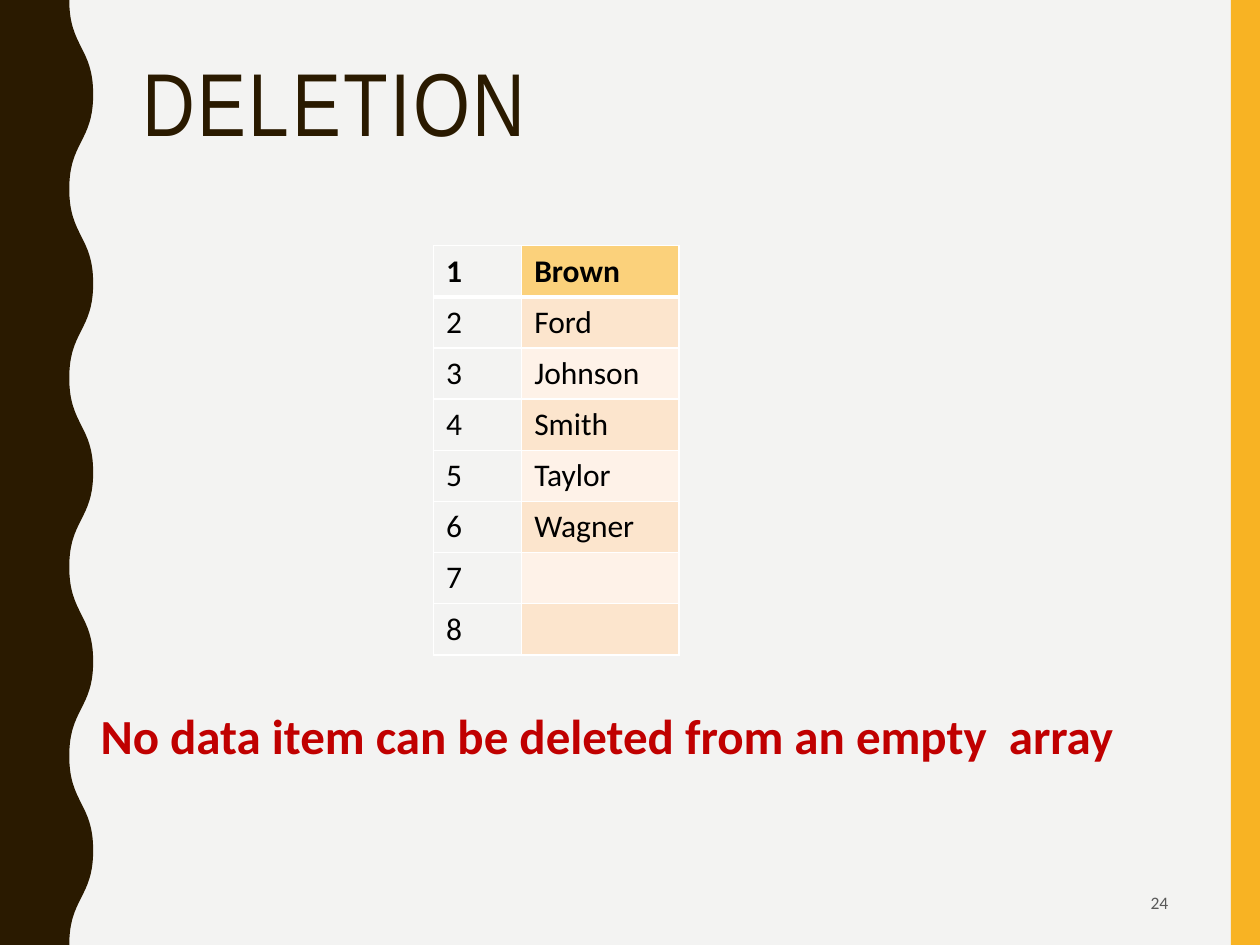
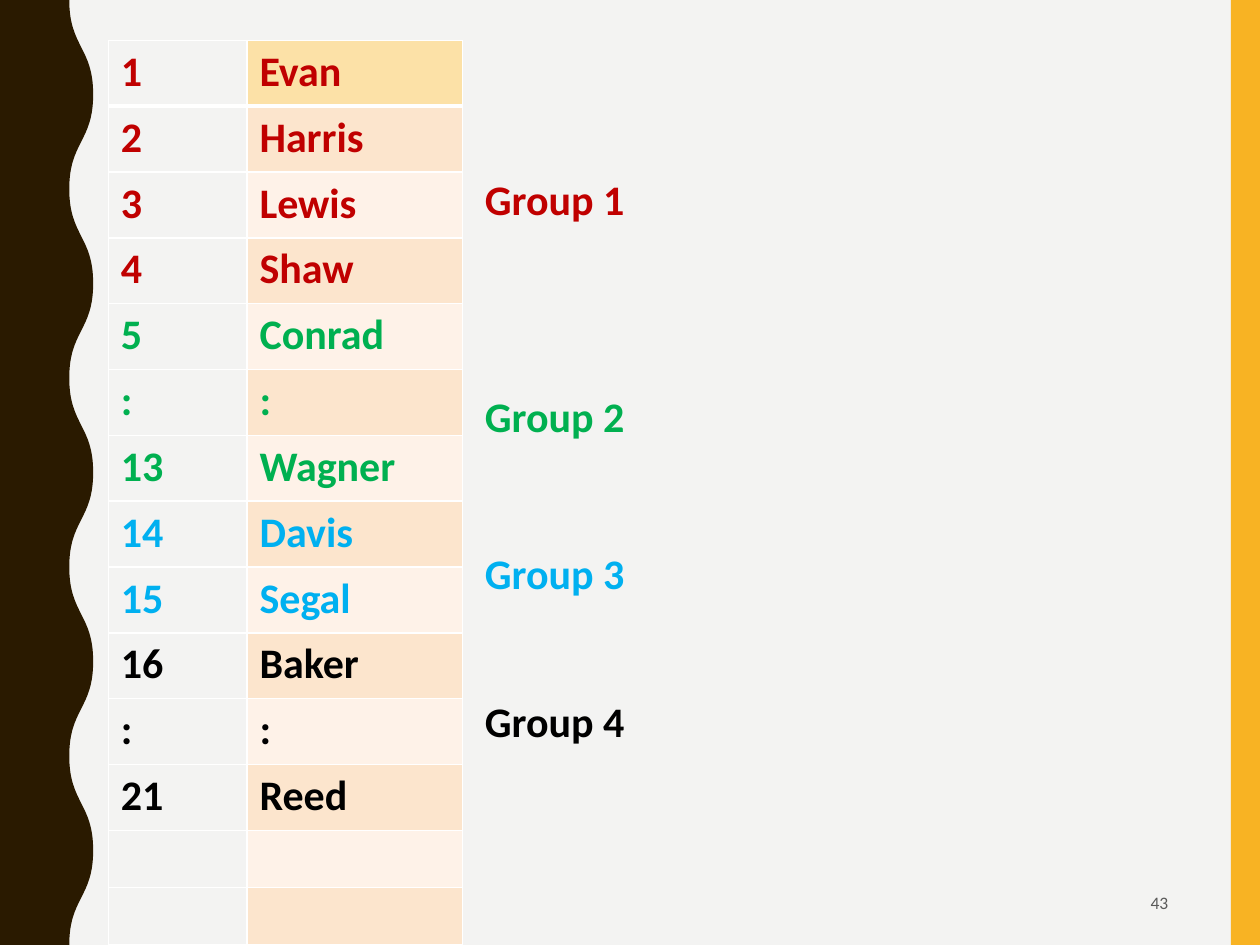
from pptx import Presentation
from pptx.dml.color import RGBColor
from pptx.enum.shapes import MSO_SHAPE
from pptx.enum.text import MSO_ANCHOR, PP_ALIGN
from pptx.oxml.ns import qn
from pptx.util import Inches, Pt
from lxml.etree import SubElement

PAPER = RGBColor(0xF3, 0xF3, 0xF2)
GOLD = RGBColor(0xF8, 0xB3, 0x23)
BROWN = RGBColor(0x2A, 0x1A, 0x00)
GREY = RGBColor(0x59, 0x59, 0x59)
BLACK = RGBColor(0x00, 0x00, 0x00)
RED = RGBColor(0xC0, 0x00, 0x00)
GREEN = RGBColor(0x00, 0xB0, 0x50)
BLUE = RGBColor(0x00, 0xB0, 0xF0)
WHITE = RGBColor(0xFF, 0xFF, 0xFF)
AMBER = RGBColor(0xFB, 0xD1, 0x7B)
PALE_AMBER = RGBColor(0xFC, 0xE1, 0xA7)
PEACH = RGBColor(0xFC, 0xE5, 0xCD)
PALE_PEACH = RGBColor(0xFE, 0xF2, 0xE8)

BODY_FONT = "Calibri"
TITLE_FONT = "Arial Narrow"
SLIDE_WIDTH, SLIDE_HEIGHT = 10, 7.5
WAVE_INNER, WAVE_OUTER, WAVE_COUNT = 0.55, 0.74, 10


def add_run(paragraph, text, size, color, bold=False, font=BODY_FONT):
    run = paragraph.add_run()
    run.text = text
    run.font.name = font
    run.font.size = Pt(size)
    run.font.bold = bold
    run.font.color.rgb = color
    return run


def add_text(slide, box, text, size, color, bold=False, font=BODY_FONT,
             align=PP_ALIGN.LEFT, anchor=MSO_ANCHOR.TOP):
    frame = slide.shapes.add_textbox(*map(Inches, box)).text_frame
    frame.word_wrap = True
    frame.vertical_anchor = anchor
    paragraph = frame.paragraphs[0]
    paragraph.alignment = align
    return paragraph, add_run(paragraph, text, size, color, bold, font)


def paint(shape, color):
    shape.shadow.inherit = False
    shape.fill.solid()
    shape.fill.fore_color.rgb = color
    shape.line.fill.background()


def curve_edge(outline, start):
    segments = list(outline._element.iter(qn("a:lnTo")))[:WAVE_COUNT]
    start_x, start_y = start
    for segment in segments:
        end = segment[0]
        end_x, end_y = int(end.get("x")), int(end.get("y"))
        middle_y = (start_y + end_y) // 2
        segment.remove(end)
        curve = SubElement(segment.getparent(), qn("a:cubicBezTo"))
        segment.getparent().replace(segment, curve)
        for x, y in ((start_x, middle_y), (end_x, middle_y), (end_x, end_y)):
            SubElement(curve, qn("a:pt"), x=str(x), y=str(y))
        start_x, start_y = end_x, end_y


def add_wave(slide, left, top, height):
    half_wave = height / WAVE_COUNT
    edge = [(Inches(left + (WAVE_INNER if crest % 2 == 0 else WAVE_OUTER)),
             Inches(top + crest * half_wave)) for crest in range(WAVE_COUNT + 1)]
    corners = [(Inches(left), Inches(top + height)), (Inches(left), Inches(top))]
    builder = slide.shapes.build_freeform(*edge[0])
    builder.add_line_segments(edge[1:] + corners, close=True)
    outline = builder.convert_to_shape()
    curve_edge(outline, (Inches(WAVE_INNER), 0))
    paint(outline, BROWN)


def add_page(deck, number):
    slide = deck.slides.add_slide(deck.slide_layouts[6])
    slide.background.fill.solid()
    slide.background.fill.fore_color.rgb = PAPER
    band_box = (9.77, 0, 0.23, SLIDE_HEIGHT)
    band = slide.shapes.add_shape(MSO_SHAPE.RECTANGLE, *map(Inches, band_box))
    paint(band, GOLD)
    add_wave(slide, 0, 0, SLIDE_HEIGHT)
    add_text(slide, (7.06, 6.97, 2.31, 0.38), str(number), 10, GREY,
             align=PP_ALIGN.RIGHT, anchor=MSO_ANCHOR.MIDDLE)
    return slide


def add_title(slide, box, text):
    paragraph, run = add_text(slide, box, text, 51, BROWN, font=TITLE_FONT)
    paragraph.line_spacing = 0.9
    run.font._element.set("spc", "150")


def add_border(cell, side, width):
    line = SubElement(cell._tc.get_or_add_tcPr(), qn(f"a:{side}"), w=str(Pt(width)))
    fill = SubElement(line, qn("a:solidFill"))
    SubElement(fill, qn("a:srgbClr"), val=str(WHITE))


def add_array(slide, left, top, column_widths, row_heights, rows, size, head_fill,
              bold_rows):
    width, height = sum(column_widths), sum(row_heights)
    table = slide.shapes.add_table(len(rows), len(column_widths), Inches(left),
                                   Inches(top), Inches(width), Inches(height)).table
    table.first_row = table.horz_banding = False
    for column, column_width in zip(table.columns, column_widths):
        column.width = Inches(column_width)
    for index, (position, name, color) in enumerate(rows):
        table.rows[index].height = Inches(row_heights[index])
        band_fill = PEACH if index % 2 else PALE_PEACH
        for column, text in enumerate((position, name)):
            cell = table.cell(index, column)
            for side in ("lnL", "lnR", "lnT", "lnB"):
                under_head = (index, side) in ((0, "lnB"), (1, "lnT"))
                add_border(cell, side, 3 if under_head else 1)
            if column == 0:
                cell.fill.background()
            else:
                cell.fill.solid()
                cell.fill.fore_color.rgb = band_fill if index else head_fill
            if text:
                add_run(cell.text_frame.paragraphs[0], text, size, color,
                        index < bold_rows)


def build_deletion(deck):
    slide = add_page(deck, 24)
    add_title(slide, (1.03, 0.42, 8.35, 1.63), "DELETION ")
    names = ["Brown", "Ford", "Johnson", "Smith", "Taylor", "Wagner ", "", ""]
    rows = [(str(position), name, BLACK) for position, name in enumerate(names, 1)]
    heights = [3.25 / len(rows)] * len(rows)
    add_array(slide, 3.44, 1.95, (0.7, 1.25), heights, rows, 18, AMBER, 1)
    add_text(slide, (0.7, 5.55, 8.91, 1.04),
             "No data item can be deleted from an empty  array ", 28, RED, True)


def build_groups(deck):
    slide = add_page(deck, 43)
    groups = [
        (RED, 1.33, [("1", "Evan"), ("2", "Harris"), ("3", "Lewis"), ("4", "Shaw")]),
        (GREEN, 3.05, [("5", "Conrad"), (":", ":"), ("13", "Wagner")]),
        (BLUE, 4.3, [("14", "Davis"), ("15", "Segal")]),
        (BLACK, 5.47, [("16", "Baker"), (":", ":"), ("21", "Reed ")]),
    ]
    members = [(*member, color) for color, _, group in groups for member in group]
    spare = [("", "", BLACK)] * 2
    heights = [6.27 / len(members)] * len(members) + [0.91 / len(spare)] * len(spare)
    add_array(slide, 0.86, 0.32, (1.1, 1.71), heights, members + spare, 24,
              PALE_AMBER, len(members))
    for number, (color, top, _) in enumerate(groups, 1):
        add_text(slide, (3.75, top, 1.88, 0.5), f"Group {number}", 24, color, True)


deck = Presentation()
deck.slide_width = Inches(SLIDE_WIDTH)
deck.slide_height = Inches(SLIDE_HEIGHT)
build_deletion(deck)
build_groups(deck)
deck.save("out.pptx")
